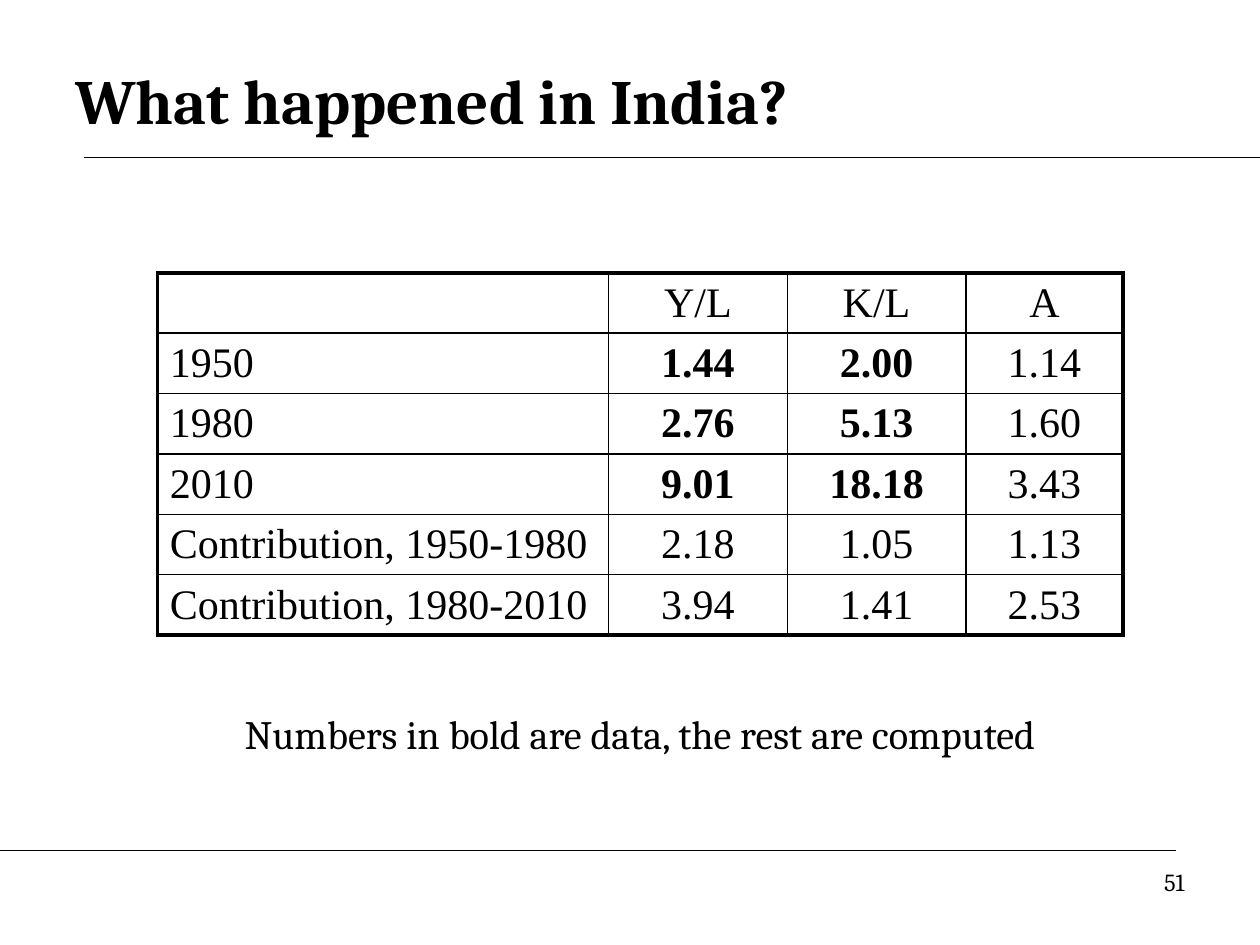
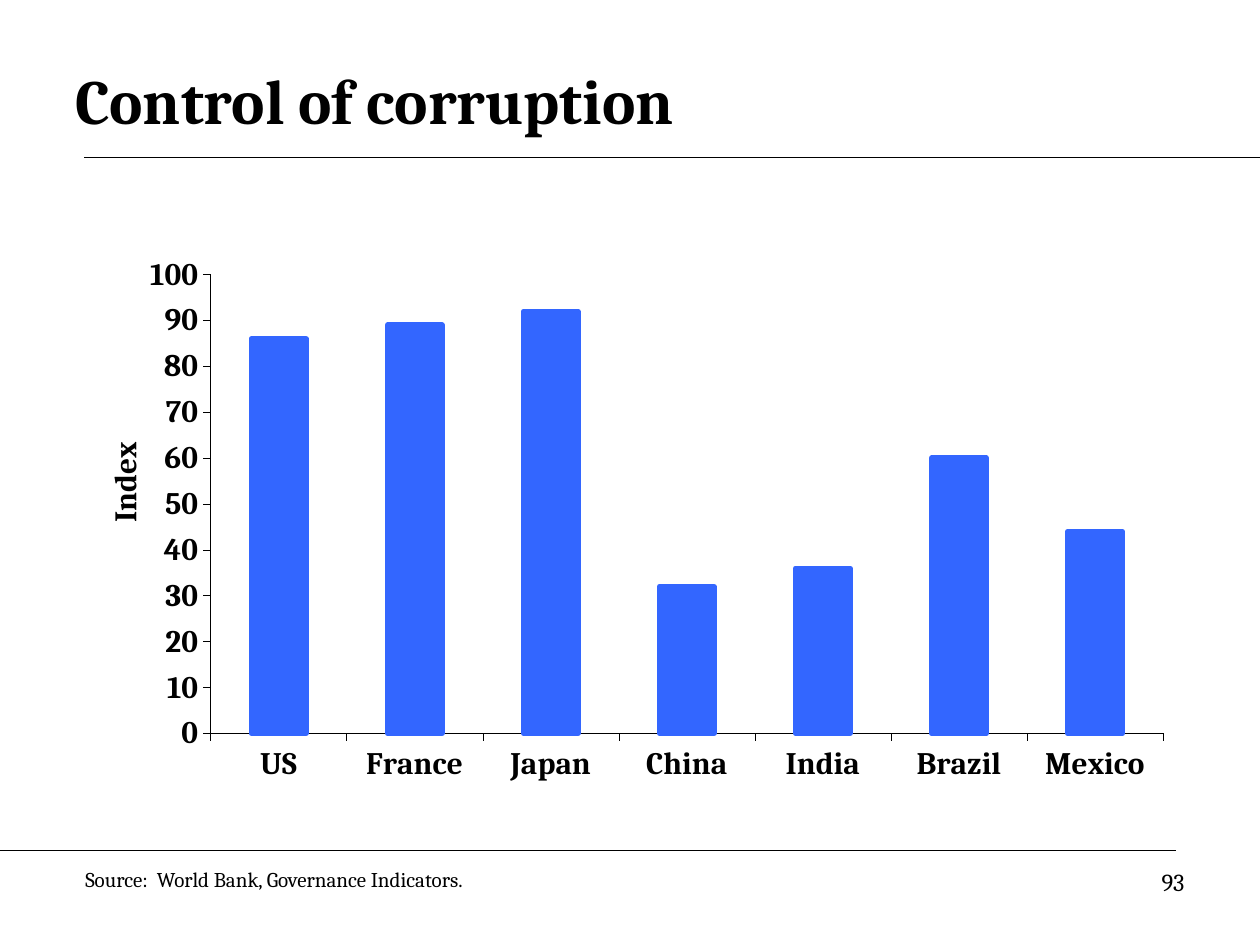
import pptx
import pptx.chart.data
import pptx.dml.color
import pptx.enum.chart
import pptx.enum.shapes
import pptx.enum.text
import pptx.oxml
import pptx.oxml.ns
import pptx.util

Cm, Pt = pptx.util.Cm, pptx.util.Pt
ALIGN = pptx.enum.text.PP_ALIGN
ANCHOR = pptx.enum.text.MSO_ANCHOR
TICK = pptx.enum.chart.XL_TICK_MARK
NS = pptx.oxml.ns.nsdecls

BLACK, WHITE, BLUE = "000000", "FFFFFF", "3366FF"
TITLE = {"name": "Cambria", "size": Pt(36), "bold": True}
CAPTION = {"name": "Cambria", "size": Pt(23), "bold": False}
NUMBER = {"name": "Cambria", "size": Pt(14), "bold": False}
SOURCE = {"name": "Cambria", "size": Pt(12), "bold": False}
CELL = {"name": "Times New Roman", "size": Pt(24), "bold": False}
AXIS = {"name": "Cambria", "size": Pt(17.9), "bold": True}


def rgb(value):
    return pptx.dml.color.RGBColor.from_string(value)


def style_font(font, style, color=BLACK):
    for key, value in style.items():
        setattr(font, key, value)
    font.color.rgb = rgb(color)


def set_line(line, color, width):
    line.color.rgb = rgb(color)
    line.width = Pt(width)


def set_borders(cell, widths):
    """Draw cell borders; widths are in points: left, right, top, bottom."""
    tc_pr = cell._tc.get_or_add_tcPr()
    for i, (side, width) in enumerate(zip("LRTB", widths)):
        tc_pr.insert(i, pptx.oxml.parse_xml(
            f'<a:ln{side} {NS("a")} w="{Pt(width)}"><a:solidFill>'
            f'<a:srgbClr val="{BLACK}"/></a:solidFill></a:ln{side}>'))


def set_layout(parent, index, inner=False, **place):
    """Place a chart part by fractions of the chart area."""
    for old in parent.xpath("./c:layout"):
        parent.remove(old)
    target = '<c:layoutTarget val="inner"/>' if inner else ""
    values = "".join(f'<c:{k} val="{v}"/>' for k, v in place.items())
    parent.insert(index, pptx.oxml.parse_xml(
        f'<c:layout {NS("c")}><c:manualLayout>{target}<c:xMode val="edge"/>'
        f'<c:yMode val="edge"/>{values}</c:manualLayout></c:layout>'))


class Deck:
    def __init__(self):
        self.prs = pptx.Presentation()
        self.prs.slide_width, self.prs.slide_height = Cm(25.4), Cm(19.05)
        self.s = None

    def slide(self, title, number):
        """Start a slide with its title, two rules and page number."""
        self.s = self.prs.slides.add_slide(self.prs.slide_layouts[6])
        self.s.background.fill.solid()
        self.s.background.fill.fore_color.rgb = rgb(WHITE)
        self.rule(1.7, 25.4, 3.17)
        self.rule(0, 23.7, 17.14)
        self.text(title, (1.27, 0.84, 22.86, 2.34), TITLE, anchor=ANCHOR.MIDDLE)
        self.text(number, (18.2, 17.35, 5.93, 1.32), NUMBER, ALIGN.RIGHT)

    def rule(self, left, right, y):
        kind = pptx.enum.shapes.MSO_CONNECTOR.STRAIGHT
        sp = self.s.shapes.add_connector(kind, Cm(left), Cm(y), Cm(right), Cm(y))
        set_line(sp.line, BLACK, 0.75)
        sp._element.spPr.append(pptx.oxml.parse_xml(f'<a:effectLst {NS("a")}/>'))

    def text(self, text, box, style, align=ALIGN.LEFT, anchor=ANCHOR.TOP):
        tf = self.s.shapes.add_textbox(*map(Cm, box)).text_frame
        tf.word_wrap = True
        tf.vertical_anchor = anchor
        p = tf.paragraphs[0]
        p.alignment = align
        r = p.add_run()
        r.text = text
        style_font(r.font, style)

    def table(self, rows, left, top, widths, row_height, is_bold):
        """Add a grid with thin inner lines and a thick frame."""
        last_row, last_col = len(rows) - 1, len(widths) - 1
        tbl = self.s.shapes.add_table(
            len(rows), len(widths), Cm(left), Cm(top),
            Cm(sum(widths)), Cm(row_height * len(rows))).table
        tbl.first_row = tbl.horz_banding = False
        for col, width in zip(tbl.columns, widths):
            col.width = Cm(width)
        for i, row in enumerate(rows):
            tbl.rows[i].height = Cm(row_height)
            for j, value in enumerate(row):
                cell = tbl.cell(i, j)
                cell.fill.background()
                cell.vertical_anchor = ANCHOR.MIDDLE
                cell.margin_top = cell.margin_bottom = Cm(0.1)
                edges = (j == 0, j == last_col, i == 0, i == last_row)
                set_borders(cell, [2.25 if edge else 1 for edge in edges])
                p = cell.text_frame.paragraphs[0]
                p.text = value
                p.alignment = ALIGN.CENTER if j else ALIGN.LEFT
                style_font(p.font, {**CELL, "bold": is_bold(i, j)})

    def column_chart(self, values, box, axis_title):
        data = pptx.chart.data.CategoryChartData()
        data.categories = values.keys()
        data.add_series("Series 1", values.values())
        chart = self.s.shapes.add_chart(
            pptx.enum.chart.XL_CHART_TYPE.COLUMN_CLUSTERED,
            *map(Cm, box), data).chart
        chart.has_legend = chart.has_title = False
        style_font(chart.font, AXIS)

        # Columns
        plot = chart.plots[0]
        plot.vary_by_categories = False
        plot.gap_width = 150
        series = plot.series[0]
        series.format.fill.solid()
        series.format.fill.fore_color.rgb = rgb(BLUE)
        set_line(series.format.line, BLUE, 3)

        # Axes
        for axis in (chart.category_axis, chart.value_axis):
            axis.has_major_gridlines = False
            axis.major_tick_mark = TICK.OUTSIDE
            axis.minor_tick_mark = TICK.NONE
            set_line(axis.format.line, BLACK, 0.25)
            style_font(axis.tick_labels.font, AXIS)
        axis = chart.value_axis
        axis.minimum_scale, axis.maximum_scale, axis.major_unit = 0, 100, 10
        p = axis.axis_title.text_frame.paragraphs[0]
        r = p.add_run()
        r.text = axis_title
        style_font(r.font, AXIS)

        # Placement inside the chart area
        plot_area = chart.element.xpath(".//c:plotArea")[0]
        set_layout(plot_area, 0, inner=True, x=0.127, y=0.077, w=0.863, h=0.762)
        set_layout(plot_area.xpath("./c:valAx/c:title")[0], 1, x=0.025, y=0.345)


def main():
    deck = Deck()

    # Growth accounting table
    deck.slide("What happened in India?", "51")
    growth = [
        ("", "Y/L", "K/L", "A"),
        ("1950", "1.44", "2.00", "1.14"),
        ("1980", "2.76", "5.13", "1.60"),
        ("2010", "9.01", "18.18", "3.43"),
        ("Contribution, 1950-1980", "2.18", "1.05", "1.13"),
        ("Contribution, 1980-2010", "3.94", "1.41", "2.53"),
    ]
    deck.table(growth, 3.17, 5.5, (9.1, 3.6, 3.6, 3.17), 1.19,
               is_bold=lambda i, j: 1 <= i <= 3 and 1 <= j <= 2)
    deck.text("Numbers in bold are data, the rest are computed",
              (1.7, 14.17, 22.43, 2.34), CAPTION, ALIGN.CENTER)

    # Corruption index chart
    deck.slide("Control of corruption", "93")
    index = {"US": 86, "France": 89, "Japan": 92, "China": 32,
             "India": 36, "Brazil": 60, "Mexico": 44}
    deck.column_chart(index, (1.42, 4.6, 22.25, 12.14), "Index")
    deck.text("Source:  World Bank, Governance Indicators.",
              (1.47, 17.35, 12.27, 0.76), SOURCE)

    deck.prs.save("out.pptx")


if __name__ == "__main__":
    main()
